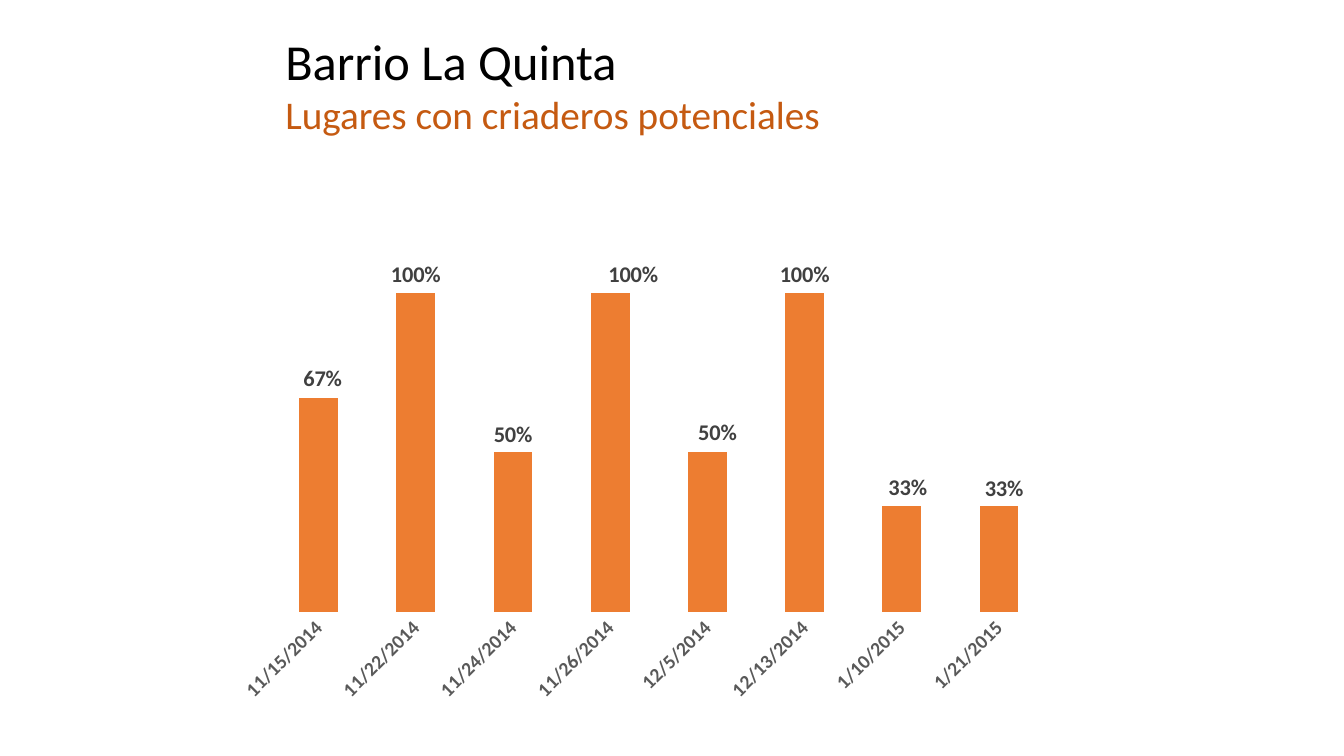
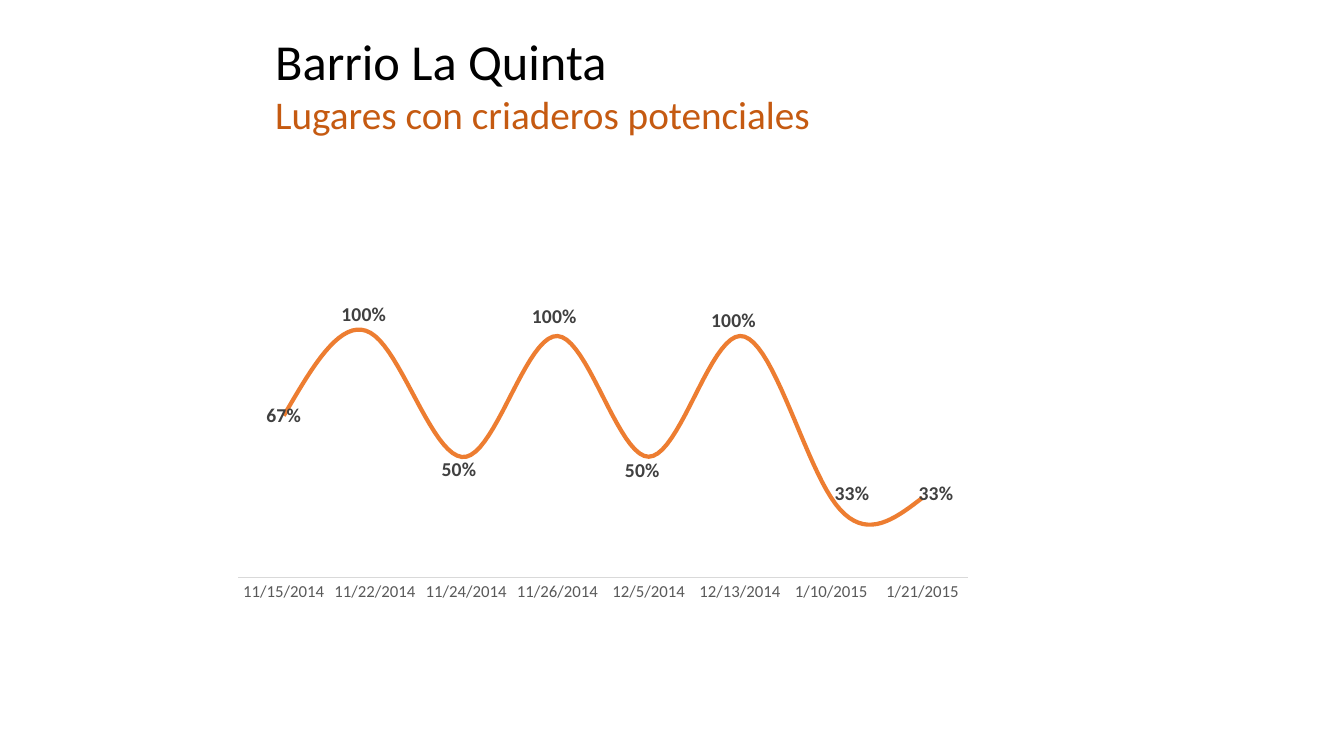
import pptx
import pptx.util
import pptx.chart.data
import pptx.dml.color
import pptx.enum.chart
import pptx.enum.dml
import pptx.enum.text
import pptx.oxml
import pptx.oxml.ns
from dataclasses import dataclass

Pt, Inches = pptx.util.Pt, pptx.util.Inches
Kind = pptx.enum.chart.XL_CHART_TYPE
Spot = pptx.enum.chart.XL_LABEL_POSITION


@dataclass(frozen=True)
class Theme:
    face: str = "Calibri"
    black: str = "000000"
    rust: str = "C55A11"
    orange: str = "ED7D31"
    dark: str = "404040"
    gray: str = "595959"
    pale: str = "D9D9D9"
    head: int = 36
    sub: int = 28
    base: int = 10


THEME = Theme()
WIDE, HIGH = Inches(13.33), Inches(7.5)
HEADS = [("Barrio La Quinta", THEME.head, THEME.black),
         ("Lugares con criaderos potenciales", THEME.sub, THEME.rust)]
DATES = ["11/15/2014", "11/22/2014", "11/24/2014", "11/26/2014",
         "12/5/2014", "12/13/2014", "1/10/2015", "1/21/2015"]
RATES = [0.67, 1, 0.5, 1, 0.5, 1, 0.33, 0.33]

# Boxes are percent of the slide; plots and nudges are percent of the chart
BARS = dict(kind=Kind.COLUMN_CLUSTERED, box=(16.65, 29.07, 62.49, 65.2),
            plot=(5.5, 2, 92.6, 77.5), spot=Spot.OUTSIDE_END,
            label=16, tick=14, bold=True, turn=-45,
            nudge={0: (0.48, -0.4), 3: (2.74, 0), 4: (1.2, -0.3),
                   6: (0.7, -0.2), 7: (0.6, 0)})
CURVE = dict(kind=Kind.LINE, box=(16.65, 25.6, 59.49, 59.07),
             plot=(1.8, 21.1, 91.3, 64.9), spot=Spot.CENTER,
             label=14, tick=12, bold=False, turn=0,
             nudge={1: (-1.4, -4.7), 2: (-0.9, 2.9), 3: (-0.4, -4.3),
                    4: (-0.8, 3.1), 5: (-0.8, -3.4), 6: (2.6, -0.9),
                    7: (1.7, -0.9)})
PAGES = [((20.48, 3.33, 42.31, 15.73), BARS),
         ((19.73, 3.33, 42.69, 15.73), CURVE)]


def apply(item, **style):
    for name, value in style.items():
        setattr(item, name, value)


def paint(font, size, color, bold=False):
    apply(font, name=THEME.face, size=Pt(size), bold=bold)
    font.color.rgb = pptx.dml.color.RGBColor.from_string(color)


def place(box):
    return [int(side * part / 100)
            for side, part in zip((WIDE, HIGH, WIDE, HIGH), box)]


def layout(sides, inner=False):
    """Manual chart layout from percents."""
    modes = '<c:layoutTarget val="inner"/>' if inner else ""
    if inner:
        modes += '<c:xMode val="edge"/><c:yMode val="edge"/>'
    parts = "".join(f'<c:{key} val="{part / 100:.4f}"/>'
                    for key, part in zip("xywh", sides))
    return pptx.oxml.parse_xml(
        f'<c:layout {pptx.oxml.ns.nsdecls("c")}><c:manualLayout>'
        f'{modes}{parts}</c:manualLayout></c:layout>')


def add_head(slide, box):
    """Two-line title in the title placeholder."""
    title = slide.shapes.title
    left, top, width, height = place(box)
    apply(title, left=left, top=top, width=width, height=height)
    frame = title.text_frame
    apply(frame, word_wrap=True,
          auto_size=pptx.enum.text.MSO_AUTO_SIZE.NONE,
          vertical_anchor=pptx.enum.text.MSO_ANCHOR.TOP)
    for row, (text, size, color) in enumerate(HEADS):
        line = frame.add_paragraph() if row else frame.paragraphs[0]
        line.alignment = pptx.enum.text.PP_ALIGN.LEFT
        run = line.add_run()
        run.text = text
        paint(run.font, size, color)


def set_axes(chart, look):
    """Dates below, hidden percent scale."""
    scale = chart.value_axis
    apply(scale, visible=False, has_major_gridlines=False,
          minimum_scale=0, maximum_scale=1.2)
    axis = chart.category_axis
    none = pptx.enum.chart.XL_TICK_MARK.NONE
    apply(axis, major_tick_mark=none, minor_tick_mark=none,
          has_major_gridlines=False)
    paint(axis.tick_labels.font, look["tick"], THEME.gray, look["bold"])
    body = chart.element.xpath(".//c:catAx/c:txPr/a:bodyPr")[0]
    body.set("rot", str(look["turn"] * 60000))
    if look["kind"] == Kind.LINE:
        axis.format.line.width = Pt(1)
        axis.format.line.color.rgb = pptx.dml.color.RGBColor.from_string(
            THEME.pale)
    else:
        axis.format.line.fill.background()


def set_series(plot, look):
    series = plot.series[0]
    orange = pptx.dml.color.RGBColor.from_string(THEME.orange)
    if look["kind"] == Kind.LINE:
        series.smooth = True
        series.marker.style = pptx.enum.chart.XL_MARKER_STYLE.NONE
        series.format.line.width = Pt(3)
        series.format.line.color.rgb = orange
    else:
        plot.gap_width = 150
        series.format.fill.solid()
        series.format.fill.fore_color.rgb = orange
    return series


def set_labels(chart, series, look):
    """Bold percent labels, some shifted from their usual spot."""
    labels = series.data_labels
    apply(labels, show_value=True, number_format="0%",
          number_format_is_linked=False, position=look["spot"])
    paint(labels.font, look["label"], THEME.dark, True)
    for index, shift in look["nudge"].items():
        label = series.points[index].data_label
        label.position = look["spot"]
        paint(label.font, look["label"], THEME.dark, True)
        mark = chart.element.xpath(f".//c:dLbl/c:idx[@val='{index}']")[0]
        form = pptx.oxml.parse_xml(
            f'<c:numFmt {pptx.oxml.ns.nsdecls("c")} formatCode="0%" '
            'sourceLinked="0"/>')
        mark.addnext(form)
        mark.addnext(layout(shift))


def add_rates(slide, look):
    """Chart of the share of places by date."""
    data = pptx.chart.data.CategoryChartData(number_format="0%")
    data.categories = DATES
    data.add_series("Series 1", RATES)
    chart = slide.shapes.add_chart(
        look["kind"], *place(look["box"]), data).chart
    apply(chart, has_legend=False, has_title=False)
    paint(chart.font, THEME.base, THEME.black)
    plot = chart.plots[0]
    plot.vary_by_categories = False
    set_axes(chart, look)
    set_labels(chart, set_series(plot, look), look)
    area = chart.element.xpath(".//c:plotArea")[0]
    for old in area.xpath("./c:layout"):
        area.remove(old)
    area.insert(0, layout(look["plot"], inner=True))


def main():
    deck = pptx.Presentation()
    apply(deck, slide_width=WIDE, slide_height=HIGH)
    only = deck.slide_layouts.get_by_name("Title Only")
    for head, look in PAGES:
        slide = deck.slides.add_slide(only)
        add_rates(slide, look)
        add_head(slide, head)
    deck.save("out.pptx")


if __name__ == "__main__":
    main()
